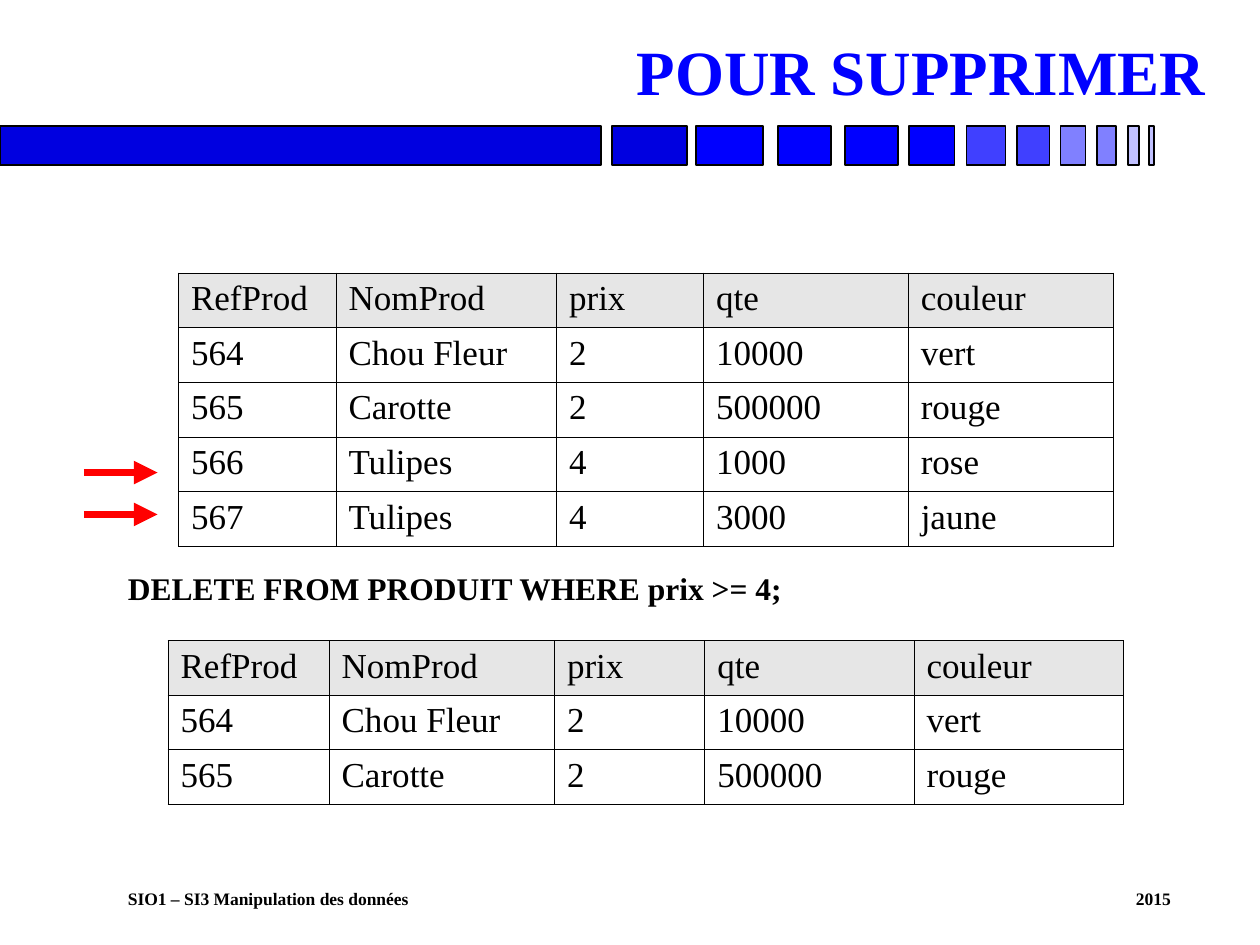
"""Build the slide on deleting rows from a product table."""

from dataclasses import dataclass

from lxml.etree import SubElement
from pptx import Presentation
from pptx.dml.color import RGBColor
from pptx.enum.shapes import MSO_CONNECTOR, MSO_SHAPE
from pptx.enum.text import MSO_ANCHOR, PP_ALIGN
from pptx.oxml.ns import qn
from pptx.util import Inches, Pt

SLIDE_WIDTH, SLIDE_HEIGHT = Inches(10), Inches(7.5)
GRID_COLUMNS, GRID_ROWS = 120, 90
FONT = "Times New Roman"
BLACK, BLUE, RED, GREY = "000000", "0000FF", "FF0000", "E6E6E6"
BAR_TOP, BAR_HEIGHT = 12, 3.75
ROW_HEIGHT = 5.2
COLUMN_SHARES = (15, 21, 14, 19.5, 19.5)


@dataclass(frozen=True)
class Bar:
    left: float
    width: float
    color: str


@dataclass(frozen=True)
class Label:
    text: str
    box: tuple
    size: int
    color: str = BLACK
    anchor: MSO_ANCHOR = MSO_ANCHOR.TOP
    alignment: PP_ALIGN = PP_ALIGN.LEFT
    line_spacing: float = 0.9
    tab_stop: float = 0


@dataclass(frozen=True)
class Grid:
    left: float
    top: float
    width: float
    rows: tuple


BARS = (
    Bar(0, 57.24, "0000E0"),
    Bar(58.32, 7.08, "0000E0"),
    Bar(66.3, 6.36, BLUE),
    Bar(74.1, 5.04, BLUE),
    Bar(80.5, 5.04, BLUE),
    Bar(86.6, 4.32, BLUE),
    Bar(92.04, 3.72, "4040FF"),
    Bar(96.84, 3.12, "4040FF"),
    Bar(101, 2.4, "8080FF"),
    Bar(104.5, 1.8, "8080FF"),
    Bar(107.4, 1.08, "C0C0FF"),
    Bar(109.4, 0.48, "C0C0FF"),
)
HEADER = ("RefProd", "NomProd", "prix", "qte", "couleur")
KEPT = (
    ("564", "Chou Fleur", "2", "10000", "vert"),
    ("565", "Carotte", "2", "500000", "rouge"),
)
DELETED = (
    ("566", "Tulipes", "4", "1000", "rose"),
    ("567", "Tulipes", "4", "3000", "jaune"),
)
GRIDS = (
    Grid(17, 26, 89, (HEADER, *KEPT, *DELETED)),
    Grid(16, 61, 91, (HEADER, *KEPT)),
)
LABELS = (
    Label("SIO1 – SI3 Manipulation des données\t2015", (11, 84, 106, 3.1), 10,
          line_spacing=1, tab_stop=96),
    Label("POUR SUPPRIMER", (3, 2.75, 113, 8.25), 36, BLUE,
          MSO_ANCHOR.BOTTOM, PP_ALIGN.RIGHT),
    Label("DELETE FROM PRODUIT WHERE prix >= 4;", (11, 54, 96, 5), 18),
)
ARROW_ROWS = (45, 49)


def across(columns: float) -> int:
    return round(SLIDE_WIDTH * columns / GRID_COLUMNS)


def down(rows: float) -> int:
    return round(SLIDE_HEIGHT * rows / GRID_ROWS)


def place(left: float, top: float, width: float, height: float) -> tuple:
    return across(left), down(top), across(width), down(height)


def rgb(color: str) -> RGBColor:
    return RGBColor.from_string(color)


def apply(target, values: dict) -> None:
    for name, value in values.items():
        setattr(target, name, value)


def write(paragraph, text: str, size: int, color: str, bold: bool) -> None:
    run = paragraph.add_run()
    run.text = text
    apply(run.font, {"name": FONT, "size": Pt(size), "bold": bold})
    run.font.color.rgb = rgb(color)


def draw_bar(slide, bar: Bar) -> None:
    shape = slide.shapes.add_shape(
        MSO_SHAPE.RECTANGLE, *place(bar.left, BAR_TOP, bar.width, BAR_HEIGHT))
    shape.shadow.inherit = False
    shape.fill.solid()
    shape.fill.fore_color.rgb = rgb(bar.color)
    shape.line.color.rgb = rgb(BLACK)
    shape.line.width = Pt(1)


def draw_label(slide, label: Label) -> None:
    frame = slide.shapes.add_textbox(*place(*label.box)).text_frame
    apply(frame, {"word_wrap": True, "vertical_anchor": label.anchor})
    paragraph = frame.paragraphs[0]
    apply(paragraph, {"alignment": label.alignment, "line_spacing": label.line_spacing})
    if label.tab_stop:
        tabs = SubElement(paragraph._p.get_or_add_pPr(), qn("a:tabLst"))
        SubElement(tabs, qn("a:tab"), pos=str(across(label.tab_stop)), algn="l")
    write(paragraph, label.text, label.size, label.color, True)


def draw_borders(cell) -> None:
    properties = cell._tc.get_or_add_tcPr()
    for position, side in enumerate(("a:lnL", "a:lnR", "a:lnT", "a:lnB")):
        border = properties.makeelement(qn(side), {"w": str(Pt(0.45))})
        fill = SubElement(border, qn("a:solidFill"))
        SubElement(fill, qn("a:srgbClr"), val=BLACK)
        properties.insert(position, border)


def draw_grid(slide, grid: Grid) -> None:
    box = place(grid.left, grid.top, grid.width, ROW_HEIGHT * len(grid.rows))
    table = slide.shapes.add_table(len(grid.rows), len(COLUMN_SHARES), *box).table
    apply(table, {"first_row": False, "horz_banding": False})
    for column, share in zip(table.columns, COLUMN_SHARES):
        column.width = across(grid.width * share / sum(COLUMN_SHARES))
    for row_index, values in enumerate(grid.rows):
        table.rows[row_index].height = down(ROW_HEIGHT)
        for column_index, value in enumerate(values):
            cell = table.cell(row_index, column_index)
            if row_index == 0:
                cell.fill.solid()
                cell.fill.fore_color.rgb = rgb(GREY)
            else:
                cell.fill.background()
            draw_borders(cell)
            write(cell.text_frame.paragraphs[0], value, 20, BLACK, False)


def draw_arrow(slide, row: float) -> None:
    arrow = slide.shapes.add_connector(
        MSO_CONNECTOR.STRAIGHT, across(8), down(row), across(15), down(row))
    arrow.line.color.rgb = rgb(RED)
    arrow.line.width = Pt(4.5)
    SubElement(arrow.line._get_or_add_ln(), qn("a:tailEnd"), type="triangle")
    SubElement(arrow._element.spPr, qn("a:effectLst"))


def main() -> None:
    presentation = Presentation()
    apply(presentation, {"slide_width": SLIDE_WIDTH, "slide_height": SLIDE_HEIGHT})
    slide = presentation.slides.add_slide(presentation.slide_layouts[6])
    for draw, items in ((draw_bar, BARS), (draw_label, LABELS),
                        (draw_grid, GRIDS), (draw_arrow, ARROW_ROWS)):
        for item in items:
            draw(slide, item)
    presentation.save("out.pptx")


if __name__ == "__main__":
    main()
